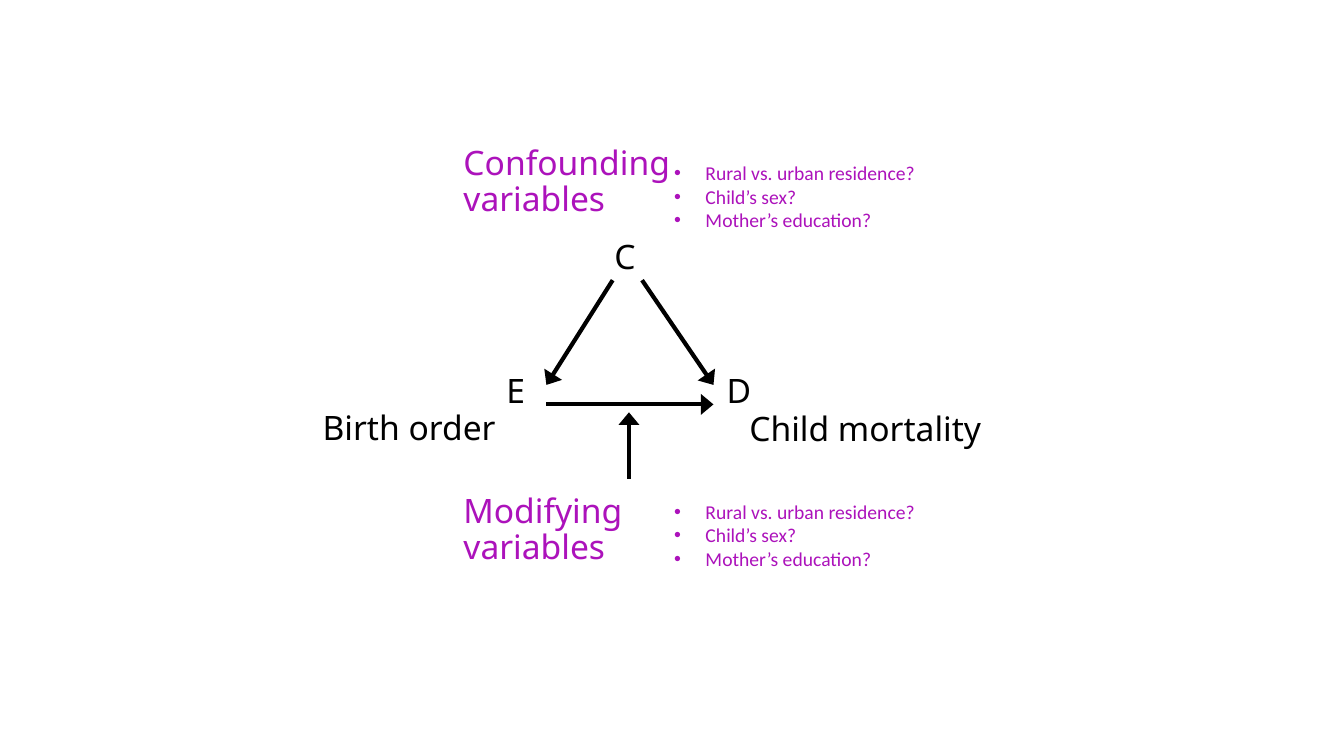
from dataclasses import dataclass

import pptx
import pptx.dml.color
import pptx.enum.shapes
import pptx.enum.text
import pptx.oxml
import pptx.oxml.ns
import pptx.shapes.autoshape
import pptx.slide
import pptx.util
from pptx.util import Cm

COLOURS = {"diagram": "000000", "variables": "AC12BB", "background": "FFFFFF"}
CENTRE = pptx.enum.text.PP_ALIGN.CENTER
LEFT = pptx.enum.text.PP_ALIGN.LEFT
CANDIDATES = ["Rural vs. urban residence?", "Child’s sex?", "Mother’s education?"]
BULLET_INDENT = Cm(0.79)


@dataclass
class Label:
    """A text box, with its place in centimetres."""
    lines: list[str]
    left: float
    top: float
    width: float
    height: float = 1.27
    colour: str = "diagram"
    alignment: pptx.enum.text.PP_ALIGN = CENTRE
    font: str = "Noto Sans"
    size: int = 24
    line_spacing: float = 0.9
    bulleted: bool = False


@dataclass
class Arrow:
    """A straight arrow from start to tip, in centimetres."""
    start: tuple[float, float]
    tip: tuple[float, float]


def variable_heading(text: str, top: float) -> Label:
    return Label([text], 11.43, top, 6.6, 2.31, "variables", LEFT)


def candidate_list(top: float) -> Label:
    return Label(CANDIDATES, 16.74, top, 8.56, 2.64, "variables", LEFT,
                 "Calibri", 14, 1.0, True)


LABELS = [
    Label(["C"], 14.48, 5.94, 2.54),
    Label(["D"], 17.35, 9.3, 2.54),
    Label(["E"], 11.73, 9.3, 2.54),
    Label(["Child mortality"], 18.31, 10.26, 6.99),
    Label(["Birth order"], 6.65, 10.24, 7.32),
    variable_heading("Confounding variables", 3.56),
    candidate_list(3.94),
    variable_heading("Modifying variables", 12.34),
    candidate_list(12.47),
]

ARROWS = [
    Arrow((13.77, 10.19), (17.98, 10.19)),
    Arrow((15.44, 7.06), (13.77, 9.7)),
    Arrow((16.18, 7.06), (17.98, 9.7)),
    Arrow((15.85, 12.07), (15.85, 10.39)),
]


def colour(name: str) -> pptx.dml.color.RGBColor:
    return pptx.dml.color.RGBColor.from_string(COLOURS[name])


def add_bullet(paragraph) -> None:
    properties = paragraph._p.get_or_add_pPr()
    properties.set("marL", str(BULLET_INDENT))
    properties.set("indent", str(-BULLET_INDENT))
    namespace = pptx.oxml.ns.nsdecls("a")
    for element in ('buFont {} typeface="Arial"', 'buChar {} char="•"'):
        properties.append(pptx.oxml.parse_xml(f"<a:{element.format(namespace)}/>"))


def add_label(slide: pptx.slide.Slide, label: Label) -> None:
    shape = slide.shapes.add_textbox(Cm(label.left), Cm(label.top),
                                     Cm(label.width), Cm(label.height))
    text_frame = shape.text_frame
    text_frame.word_wrap = True
    text_frame.auto_size = pptx.enum.text.MSO_AUTO_SIZE.SHAPE_TO_FIT_TEXT
    text_frame.text = "\n".join(label.lines)
    for paragraph in text_frame.paragraphs:
        paragraph.alignment = label.alignment
        paragraph.line_spacing = label.line_spacing
        if label.bulleted:
            add_bullet(paragraph)
        for run in paragraph.runs:
            run.font.name = label.font
            run.font.size = pptx.util.Pt(label.size)
            run.font.color.rgb = colour(label.colour)


def add_arrow(slide: pptx.slide.Slide, arrow: Arrow) -> None:
    connector = slide.shapes.add_connector(
        pptx.enum.shapes.MSO_CONNECTOR.STRAIGHT,
        *(Cm(value) for value in arrow.start + arrow.tip))
    connector.line.color.rgb = colour("diagram")
    connector.line.width = pptx.util.Pt(3)
    namespace = pptx.oxml.ns.nsdecls("a")
    connector.line._get_or_add_ln().append(pptx.oxml.parse_xml(
        f'<a:tailEnd {namespace} type="triangle" w="lg" len="med"/>'))
    connector._element.spPr.append(
        pptx.oxml.parse_xml(f"<a:effectLst {namespace}/>"))


def main() -> None:
    presentation = pptx.Presentation()
    presentation.slide_width = Cm(33.87)
    presentation.slide_height = Cm(19.05)
    slide = presentation.slides.add_slide(presentation.slide_layouts[6])
    slide.background.fill.solid()
    slide.background.fill.fore_color.rgb = colour("background")
    for arrow in ARROWS:
        add_arrow(slide, arrow)
    for label in LABELS:
        add_label(slide, label)
    presentation.save("out.pptx")


if __name__ == "__main__":
    main()
